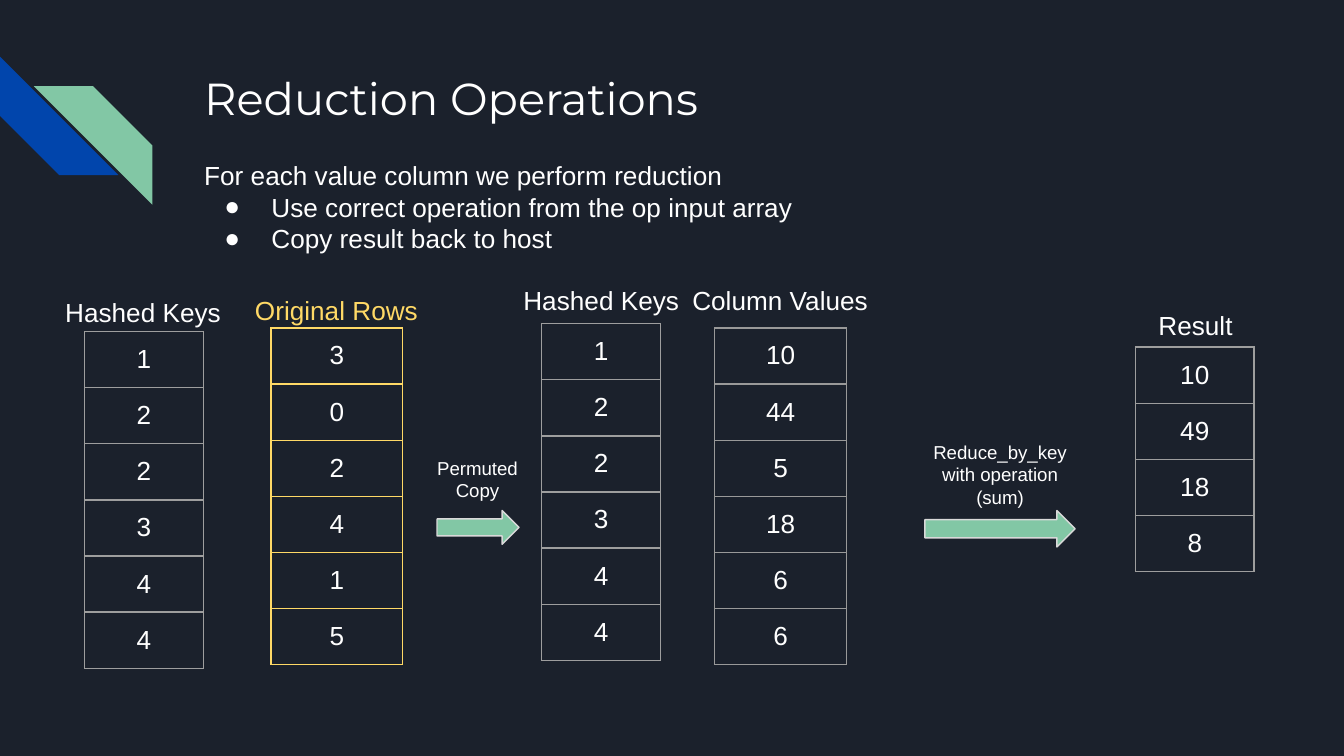
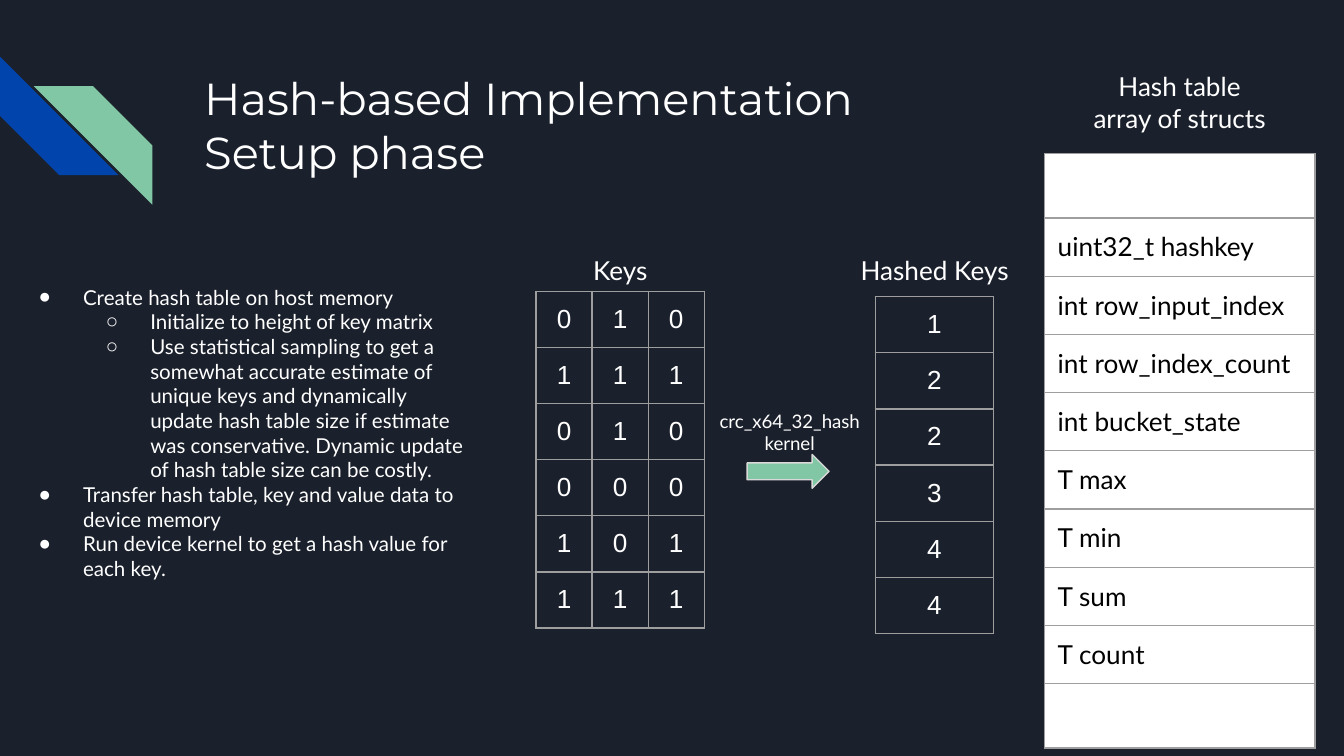
import pptx
import pptx.util
import pptx.dml.color
import pptx.enum.shapes
import pptx.enum.text
import pptx.oxml
import pptx.oxml.ns

Cm = pptx.util.Cm
Pt = pptx.util.Pt
ALIGN = pptx.enum.text.PP_ALIGN
SHAPE = pptx.enum.shapes.MSO_SHAPE

# Shared look
NAVY, BLUE, GREEN = "1B212C", "0145AC", "82C7A5"
WHITE, BLACK, YELLOW = "FFFFFF", "000000", "FFD966"
GREY, MID_GREY, PALE_GREY = "9E9E9E", "999999", "D9D9D9"
INSET = 0.25
ROW = 1.06
KEY_WIDTH = 2.24
VALUE_WIDTH = 2.49
HASHED_KEYS = [1, 2, 2, 3, 4, 4]


def color(value):
    return pptx.dml.color.RGBColor.from_string(value)


def lengths(values):
    return [Cm(value) for value in values]


# Text
def add_run(paragraph, text, size, font, fill):
    run = paragraph.add_run()
    run.text = text
    run.font.size = Pt(size)
    run.font.name = font
    run.font.color.rgb = color(fill)


def add_bullet(paragraph, level, hanging):
    """Hang a round bullet, filled on the first level and open on the second."""
    properties = paragraph._p.get_or_add_pPr()
    properties.set("marL", str(Cm(1.27 * (level + 1))))
    properties.set("indent", str(-Cm(hanging)))
    namespace = pptx.oxml.ns.nsdecls("a")
    for xml in (
        f'<a:buClr {namespace}><a:srgbClr val="{WHITE}"/></a:buClr>',
        f'<a:buFont {namespace} typeface="Arial"/>',
        f'<a:buChar {namespace} char="{"●○"[level]}"/>',
    ):
        properties.append(pptx.oxml.parse_xml(xml))


def fill_text(shape, lines, size, font, fill=WHITE, align=ALIGN.LEFT, hanging=0.84):
    """Write lines; a line is a string, or a (bullet level, string) pair."""
    frame = shape.text_frame
    frame.word_wrap = True
    frame.auto_size = pptx.enum.text.MSO_AUTO_SIZE.NONE
    frame.vertical_anchor = pptx.enum.text.MSO_ANCHOR.TOP
    frame.margin_left = frame.margin_right = Cm(INSET)
    frame.margin_top = frame.margin_bottom = Cm(INSET)
    for index, line in enumerate(lines):
        paragraph = frame.add_paragraph() if index else frame.paragraphs[0]
        paragraph.alignment = align
        paragraph.space_before = Pt(0)
        level, text = (None, line) if isinstance(line, str) else line
        if level is not None:
            paragraph.level = level
            add_bullet(paragraph, level, hanging)
        add_run(paragraph, text, size, font, fill)


def add_label(slide, box, lines, size=14, font="Arial", fill=WHITE, align=ALIGN.CENTER,
              hanging=0.84):
    shape = slide.shapes.add_textbox(*lengths(box))
    fill_text(shape, lines, size, font, fill, align, hanging)


def place(shape, box):
    shape.left, shape.top, shape.width, shape.height = lengths(box)


def set_title(slide, lines, height):
    title = slide.shapes.title
    place(title, (3.61, 1.09, 19.56, height))
    fill_text(title, lines, 24, "Montserrat")


# Shapes
def add_filled(slide, kind, box, fill, line=None):
    shape = slide.shapes.add_shape(kind, *lengths(box))
    shape.shadow.inherit = False
    shape.fill.solid()
    shape.fill.fore_color.rgb = color(fill)
    if line:
        shape.line.color.rgb = color(line)
        shape.line.width = Pt(0.75)
    else:
        shape.line.fill.background()
    return shape


def add_arrow(slide, box):
    add_filled(slide, SHAPE.RIGHT_ARROW, box, GREEN, PALE_GREY)


# Tables
def set_borders(cell, line):
    properties = cell._tc.get_or_add_tcPr()
    for index, side in enumerate(("lnL", "lnR", "lnT", "lnB")):
        properties.insert(index, pptx.oxml.parse_xml(
            f'<a:{side} {pptx.oxml.ns.nsdecls("a")} w="{Pt(0.75)}"><a:solidFill>'
            f'<a:srgbClr val="{line}"/></a:solidFill></a:{side}>'))


def add_grid(slide, left, top, rows, width, heights=None, line=GREY, fill=None,
             font="Arial", text_color=WHITE, align=ALIGN.CENTER):
    heights = heights or [ROW] * len(rows)
    columns = len(rows[0])
    table = slide.shapes.add_table(
        len(rows), columns, *lengths((left, top, width * columns, sum(heights)))).table
    table.first_row = table.horz_banding = False
    for column in table.columns:
        column.width = Cm(width)
    for row_index, (values, height) in enumerate(zip(rows, heights)):
        table.rows[row_index].height = Cm(height)
        for column_index, value in enumerate(values):
            cell = table.cell(row_index, column_index)
            cell.margin_left = cell.margin_right = Cm(INSET)
            cell.margin_top = cell.margin_bottom = Cm(INSET if value != "" else 0)
            if fill:
                cell.fill.solid()
                cell.fill.fore_color.rgb = color(fill)
            else:
                cell.fill.background()
            set_borders(cell, line)
            if value != "":
                paragraph = cell.text_frame.paragraphs[0]
                paragraph.alignment = align
                add_run(paragraph, str(value), 14, font, text_color)


def add_column(slide, left, top, values, width=KEY_WIDTH, **style):
    add_grid(slide, left, top, [[value] for value in values], width, **style)


# Background and stripes shared by every slide
def decorate_master(presentation, slide):
    master = presentation.slide_master
    master.background.fill.solid()
    master.background.fill.fore_color.rgb = color(NAVY)
    blue = add_filled(slide, SHAPE.DIAGONAL_STRIPE, (0, 1.07, 2.24, 2.24), BLUE)
    blue.rotation = 270
    green = add_filled(slide, SHAPE.DIAGONAL_STRIPE, (0.64, 1.63, 2.24, 2.24), GREEN)
    green.element.spPr.xfrm.set("flipH", "1")
    for index, stripe in enumerate((blue, green)):
        stripe.element.nvSpPr.cNvPr.set("id", str(100 + index))
        master.shapes.element.insert(2 + index, stripe.element)


def build_reduction(slide):
    set_title(slide, ["Reduction Operations"], 1.47)
    add_label(slide, (3.61, 2.77, 12.47, 2.11), [
        "For each value column we perform reduction",
        (0, "Use correct operation from the op input array"),
        (0, "Copy result back to host"),
    ], align=ALIGN.LEFT, hanging=0.89)

    # Keys with their rows
    add_label(slide, (0.94, 5.36, 3.53, 0.64), ["Hashed Keys"])
    add_column(slide, 1.6, 6.27, HASHED_KEYS)
    add_label(slide, (4.47, 5.31, 3.78, 0.76), ["Original Rows"], fill=YELLOW)
    add_column(slide, 5.12, 6.2, [3, 0, 2, 4, 1, 5], VALUE_WIDTH, line=YELLOW)

    # Permuted values
    add_label(slide, (7.87, 8.38, 2.31, 0.97), ["Permuted Copy"], size=10)
    add_arrow(slide, (8.26, 9.65, 1.55, 0.64))
    add_label(slide, (9.6, 5.13, 3.53, 0.64), ["Hashed Keys"])
    add_column(slide, 10.24, 6.12, HASHED_KEYS)
    add_label(slide, (12.47, 5.13, 4.55, 0.91), ["Column Values"])
    add_column(slide, 13.51, 6.2, [10, 44, 5, 18, 6, 6], VALUE_WIDTH, line=MID_GREY)

    # Reduced result
    add_label(slide, (16.79, 8.08, 4.22, 1.04),
              ["Reduce_by_key", "with operation", "(sum)"], size=10)
    add_arrow(slide, (17.48, 9.65, 2.84, 0.69))
    add_label(slide, (20.83, 5.59, 3.53, 0.64), ["Result"])
    add_column(slide, 21.46, 6.56, [10, 49, 18, 8])


def build_hash_setup(slide):
    set_title(slide, ["Hash-based Implementation", "Setup phase"], 2.54)
    body = slide.placeholders[1]
    place(body, (0.05, 5.13, 9.04, 6.43))
    fill_text(body, [
        (0, "Create hash table on host memory"),
        (1, "Initialize to height of key matrix"),
        (1, "Use statistical sampling to get a somewhat accurate estimate of unique "
            "keys and dynamically update hash table size if estimate was conservative. "
            "Dynamic update of hash table size can be costly."),
        (0, "Transfer hash table, key and value data to device memory"),
        (0, "Run device kernel to get a hash value for each key."),
    ], 11, "Lato")

    # Key matrix and its hashes
    add_label(slide, (9.96, 4.55, 3.53, 0.64), ["Keys"], font="Lato")
    key_rows = ["010", "111", "010", "000", "101", "111"]
    add_grid(slide, 10.13, 5.51, [list(row) for row in key_rows], ROW)
    add_label(slide, (13.16, 7.49, 3.53, 1.09), ["crc_x64_32_hash", "kernel"],
              size=10, font="Lato")
    add_arrow(slide, (14.12, 8.59, 1.55, 0.64))
    add_label(slide, (15.9, 4.55, 3.53, 0.64), ["Hashed Keys"], font="Lato")
    add_column(slide, 16.54, 5.61, HASHED_KEYS)

    # Struct layout
    add_label(slide, (19.74, 1.09, 5.11, 1.42), ["Hash table", "array of structs"],
              font="Lato")
    fields = ["uint32_t hashkey", "int row_input_index", "int row_index_count",
              "int bucket_state", "T max", "T min", "T sum", "T count"]
    add_column(slide, 19.74, 2.9, ["", *fields, ""], 5.11,
               heights=[1.22, *[1.1] * len(fields), 1.22], fill=WHITE, font="Lato",
               text_color=BLACK, align=ALIGN.LEFT)


def main():
    presentation = pptx.Presentation()
    presentation.slide_width = Cm(25.4)
    presentation.slide_height = Cm(14.29)
    layouts = presentation.slide_layouts
    reduction = presentation.slides.add_slide(layouts.get_by_name("Title Only"))
    hash_setup = presentation.slides.add_slide(layouts.get_by_name("Title and Content"))
    decorate_master(presentation, reduction)
    build_reduction(reduction)
    build_hash_setup(hash_setup)
    presentation.save("out.pptx")


if __name__ == "__main__":
    main()
